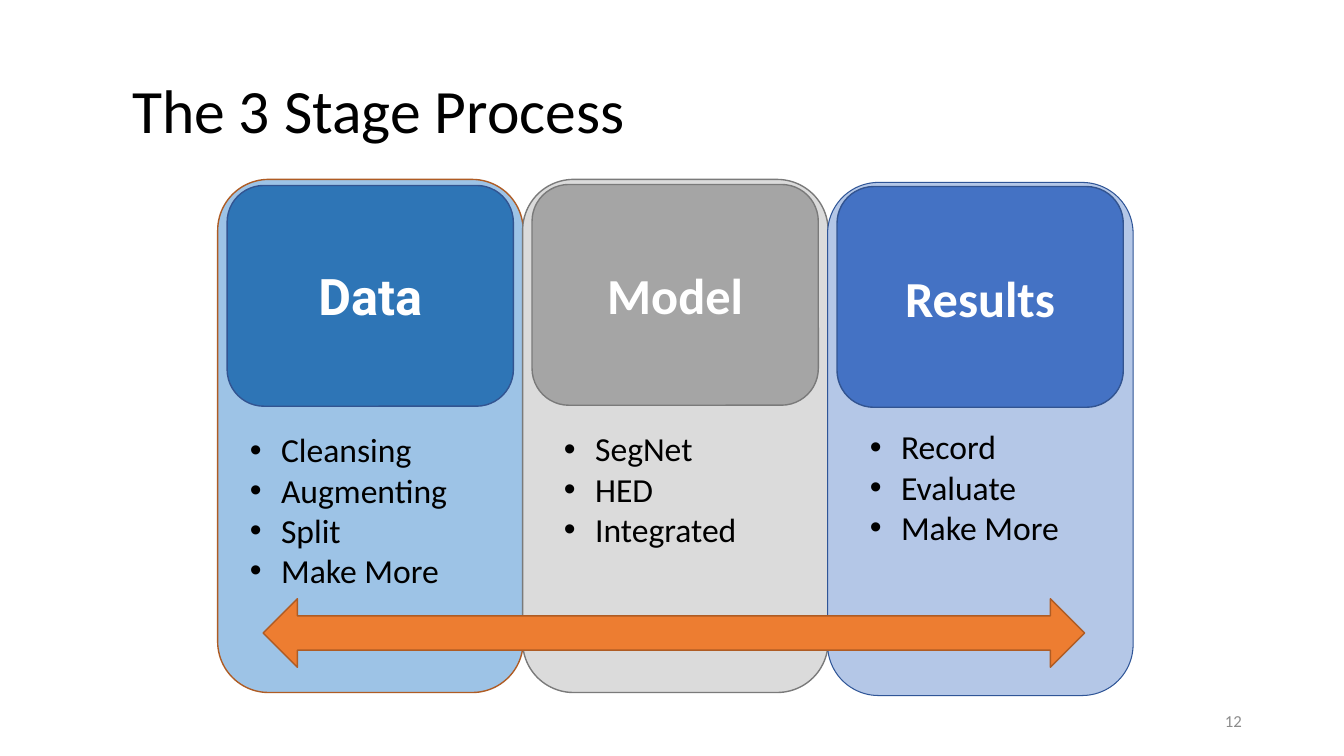
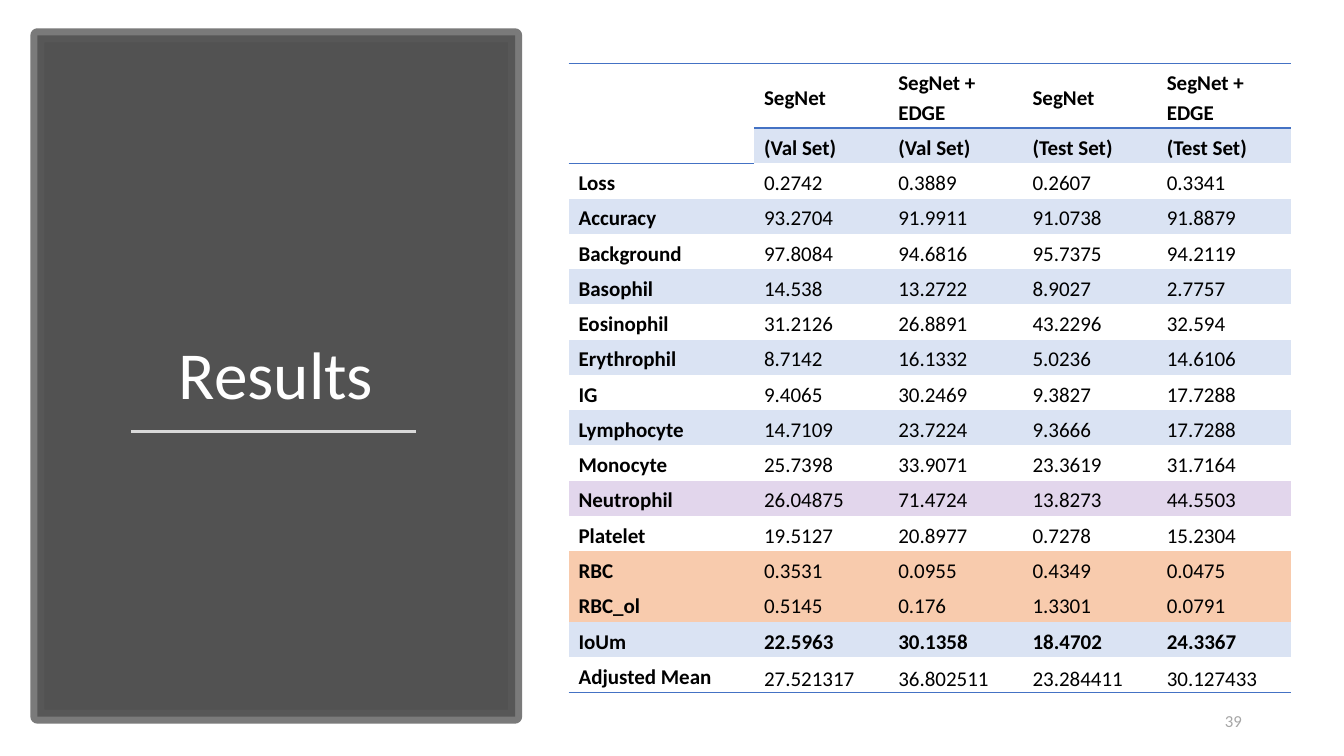
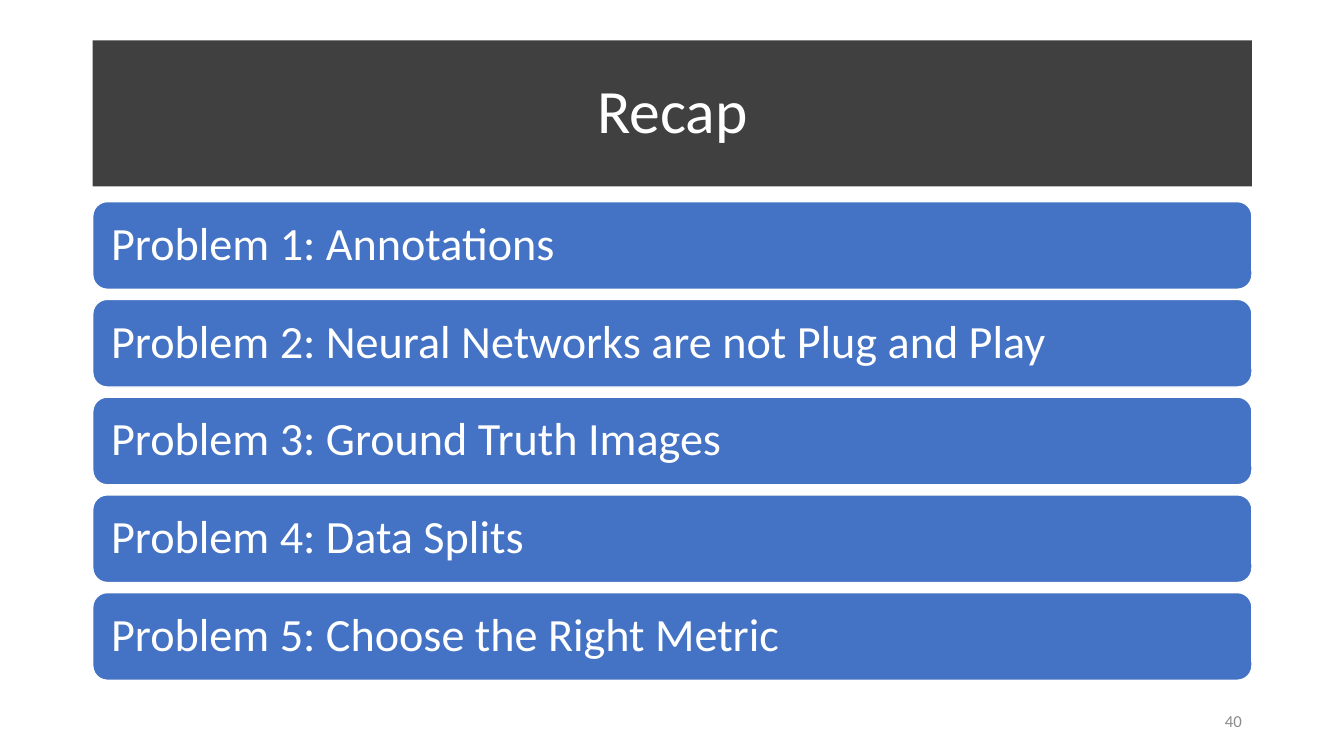
from lxml import etree
from pptx import Presentation
from pptx.dml.color import RGBColor
from pptx.enum.shapes import MSO_CONNECTOR, MSO_SHAPE
from pptx.enum.text import MSO_ANCHOR, MSO_AUTO_SIZE, PP_ALIGN
from pptx.oxml.ns import qn
from pptx.util import Inches, Pt

LEFT, CENTER, RIGHT = PP_ALIGN.LEFT, PP_ALIGN.CENTER, PP_ALIGN.RIGHT
MIDDLE, BOTTOM, TOP = MSO_ANCHOR.MIDDLE, MSO_ANCHOR.BOTTOM, MSO_ANCHOR.TOP
ROUNDED, RECTANGLE = MSO_SHAPE.ROUNDED_RECTANGLE, MSO_SHAPE.RECTANGLE
DOUBLE_ARROW = MSO_SHAPE.LEFT_RIGHT_ARROW
FIXED, GROW = MSO_AUTO_SIZE.NONE, MSO_AUTO_SIZE.SHAPE_TO_FIT_TEXT
STRAIGHT = MSO_CONNECTOR.STRAIGHT
NO_GRID = "{2D5ABB26-0587-4C30-8999-92F81FD0307C}"

COLORS = {name: RGBColor.from_string(value) for name, value in {
    "black": "000000", "white": "FFFFFF", "number": "8C8C8C", "light number": "A6A6A6",
    "charcoal": "404040", "frame": "595959", "rule": "D9D9D9",
    "blue": "4472C4", "deep blue": "2E75B6", "sky": "9DC3E6", "pale blue": "B4C7E7",
    "blue edge": "325491", "dark edge": "2F5597",
    "gray": "A5A5A5", "pale gray": "DBDBDB", "gray edge": "7A7A7A",
    "orange": "ED7D31", "orange edge": "AF5C24",
    "band": "DAE3F3", "purple band": "E2D6EC", "orange band": "F8CBAD",
}.items()}

deck = Presentation()
deck.slide_width, deck.slide_height = Inches(13.33), Inches(7.5)
X, Y = deck.slide_width / 100, deck.slide_height / 100


def add_box(slide, preset, area, fill, edge, weight):
    left, top, width, height = area
    box = slide.shapes.add_shape(preset, int(left * X), int(top * Y), int(width * X), int(height * Y))
    box.shadow.inherit = False
    box.fill.solid()
    box.fill.fore_color.rgb = COLORS[fill]
    box.line.color.rgb = COLORS[edge]
    box.line.width = Pt(weight)
    return box


def write(frame, lines, size, color, align=LEFT, anchor=MIDDLE, bold=False,
          font="Calibri", spacing=1.0, bullet=False):
    frame.word_wrap = True
    frame.vertical_anchor = anchor
    for index, line in enumerate(lines):
        paragraph = frame.add_paragraph() if index else frame.paragraphs[0]
        if bullet:
            props = paragraph._p.get_or_add_pPr()
            props.set("marL", str(Inches(0.31)))
            props.set("indent", str(-Inches(0.31)))
            etree.SubElement(props, qn("a:buFont")).set("typeface", "Arial")
            etree.SubElement(props, qn("a:buChar")).set("char", "•")
        paragraph.alignment = align
        paragraph.line_spacing = spacing
        run = paragraph.add_run()
        run.text = line
        run.font.size = Pt(size)
        run.font.name = font
        run.font.bold = bold
        run.font.color.rgb = COLORS[color]


pages = []
for heading, area, size, color, align, anchor, number, number_color in [
    ("The 3 Stage Process", (9.08, 5.33, 84.08, 19.33), 44, "black", LEFT, MIDDLE, "12", "number"),
    ("Results", (5.55, 13.33, 30, 42.13), 48, "white", CENTER, BOTTOM, "39", "light number"),
    ("Recap", (6.9, 5.33, 86.25, 19.33), 44, "white", CENTER, MIDDLE, "40", "number"),
]:
    slide = deck.slides.add_slide(deck.slide_layouts[5])
    title = slide.shapes.title
    title.left, title.top = int(area[0] * X), int(area[1] * Y)
    title.width, title.height = int(area[2] * X), int(area[3] * Y)
    title.text_frame.auto_size = FIXED
    write(title.text_frame, [heading], size, color, align, anchor, spacing=0.9)
    page_number = slide.shapes.add_textbox(int(70.65 * X), int(92.67 * Y), int(22.5 * X), int(5.33 * Y))
    write(page_number.text_frame, [number], 12, number_color, RIGHT)
    pages.append(slide)
process, results, recap = pages

stages = [
    ("Data", "Roboto", ["Cleansing", "Augmenting", "Split", "Make More"],
     "sky", "orange edge", 1, "deep blue", "blue edge", 23.73, 24.53, 1.65, 56.13),
    ("Model", "Calibri", ["SegNet", "HED", "Integrated"],
     "pale gray", "gray edge", 1, "gray", "gray edge", 23.73, 24.4, 2.33, 56),
    ("Results", "Calibri", ["Record", "Evaluate", "Make More"],
     "pale blue", "dark edge", 0.75, "blue", "blue edge", 24.13, 24.67, 2.4, 55.73),
]
for column, (stage, font, steps, fill, edge, weight, head_fill, head_edge,
             top, head_top, indent, steps_top) in enumerate(stages):
    left = 16.2 + 22.69 * column
    add_box(process, ROUNDED, (left, top, 22.73, 67.87), fill, edge, weight)
    header = add_box(process, ROUNDED, (left + 0.7, head_top, 21.3, 29.2), head_fill, head_edge, 1)
    write(header.text_frame, [stage], 36, "white", CENTER, bold=True, font=font)
    step_list = process.shapes.add_textbox(
        int((left + indent) * X), int(steps_top * Y), int(18 * X), int((1.1 + 5.46 * len(steps)) * Y))
    step_list.text_frame.auto_size = GROW
    write(step_list.text_frame, steps, 24, "black", anchor=TOP, bullet=True)
add_box(process, DOUBLE_ARROW, (19.58, 79.2, 61.13, 9.07), "orange", "orange edge", 1)

panel = add_box(results, RECTANGLE, (2.78, 4.67, 35.55, 90.13), "charcoal", "frame", 10)
panel_colors = panel.element.spPr.iter(qn("a:srgbClr"))
for tint, opacity in zip(list(panel_colors), (90, 80)):
    etree.SubElement(tint, qn("a:alpha")).set("val", str(opacity * 1000))
results.shapes.title.element.addprevious(panel.element)
underline = results.shapes.add_connector(
    STRAIGHT, int(9.75 * X), int(57.07 * Y), int(30.98 * X), int(57.07 * Y))
underline.line.color.rgb = COLORS["rule"]
underline.line.width = Pt(1.75)
etree.SubElement(underline.element.spPr, qn("a:effectLst"))

scores = [
    (None, "", "SegNet", "SegNet + EDGE", "SegNet", "SegNet + EDGE"),
    ("band", "", "(Val Set)", "(Val Set)", "(Test Set)", "(Test Set)"),
    (None, "Loss", "0.2742", "0.3889", "0.2607", "0.3341"),
    ("band", "Accuracy", "93.2704", "91.9911", "91.0738", "91.8879"),
    (None, "Background", "97.8084", "94.6816", "95.7375", "94.2119"),
    ("band", "Basophil", "14.538", "13.2722", "8.9027", "2.7757"),
    (None, "Eosinophil", "31.2126", "26.8891", "43.2296", "32.594"),
    ("band", "Erythrophil", "8.7142", "16.1332", "5.0236", "14.6106"),
    (None, "IG", "9.4065", "30.2469", "9.3827", "17.7288"),
    ("band", "Lymphocyte", "14.7109", "23.7224", "9.3666", "17.7288"),
    (None, "Monocyte", "25.7398", "33.9071", "23.3619", "31.7164"),
    ("purple band", "Neutrophil", "26.04875", "71.4724", "13.8273", "44.5503"),
    (None, "Platelet", "19.5127", "20.8977", "0.7278", "15.2304"),
    ("orange band", "RBC", "0.3531", "0.0955", "0.4349", "0.0475"),
    ("orange band", "RBC_ol", "0.5145", "0.176", "1.3301", "0.0791"),
    ("band", "IoUm", "22.5963", "30.1358", "18.4702", "24.3367"),
    (None, "Adjusted Mean", "27.521317", "36.802511", "23.284411", "30.127433"),
]
last = len(scores) - 1
score_table = results.shapes.add_table(
    len(scores), 5, int(42.3 * X), int(8.4 * Y), int(53.76 * X), int(83.33 * Y)).table
score_table.first_row = score_table.horz_banding = False
score_table._tbl.tblPr.find(qn("a:tableStyleId")).text = NO_GRID
for index, column in enumerate(score_table.columns):
    column.width = int((9.99 if index else 13.8) * X)
for index, row in enumerate(score_table.rows):
    row.height = int((4.67 if index else 8.53) * Y)
score_table.cell(0, 0).merge(score_table.cell(1, 0))

for r, (band, *values) in enumerate(scores):
    for c, value in enumerate(values):
        cell = score_table.cell(r, c)
        cell.margin_left = cell.margin_right = Inches(0.1)
        cell.margin_top, cell.margin_bottom = Inches(0.01), 0
        cell.vertical_anchor = BOTTOM if r == last and c else MIDDLE
        if value:
            paragraph = cell.text_frame.paragraphs[0]
            paragraph.line_spacing = 1.15
            run = paragraph.add_run()
            run.text = value
            run.font.size = Pt(15)
            run.font.name = "Calibri"
            run.font.bold = c == 0 or r < 2 or values[0] == "IoUm"
            run.font.color.rgb = COLORS["black"]
        if band and value:
            cell.fill.solid()
            cell.fill.fore_color.rgb = COLORS[band]
        else:
            cell.fill.background()
        sides = []
        if r in (0, last) or (r, c) == (1, 0):
            sides.append("a:lnB")
        if r == 0:
            sides.append("a:lnT")
        for side in sides:
            border = etree.Element(qn(side), w=str(Pt(1)))
            ink = etree.SubElement(etree.SubElement(border, qn("a:solidFill")), qn("a:srgbClr"))
            ink.set("val", str(COLORS["blue"]))
            cell._tc.get_or_add_tcPr().insert(0, border)

banner = recap.shapes.title
banner.fill.solid()
banner.fill.fore_color.rgb = COLORS["charcoal"]
problems = ["Annotations", "Neural Networks are not Plug and Play", "Ground Truth Images",
            "Data Splits", "Choose the Right Metric"]
for index, problem in enumerate(problems):
    bar = add_box(recap, ROUNDED, (6.9, 26.67 + 12.93 * index, 86.25, 11.6), "blue", "white", 1)
    bar.text_frame.margin_left = bar.text_frame.margin_right = Inches(0.14)
    write(bar.text_frame, [f"Problem {index + 1}: {problem}"], 33, "white", spacing=0.9)

deck.save("out.pptx")
